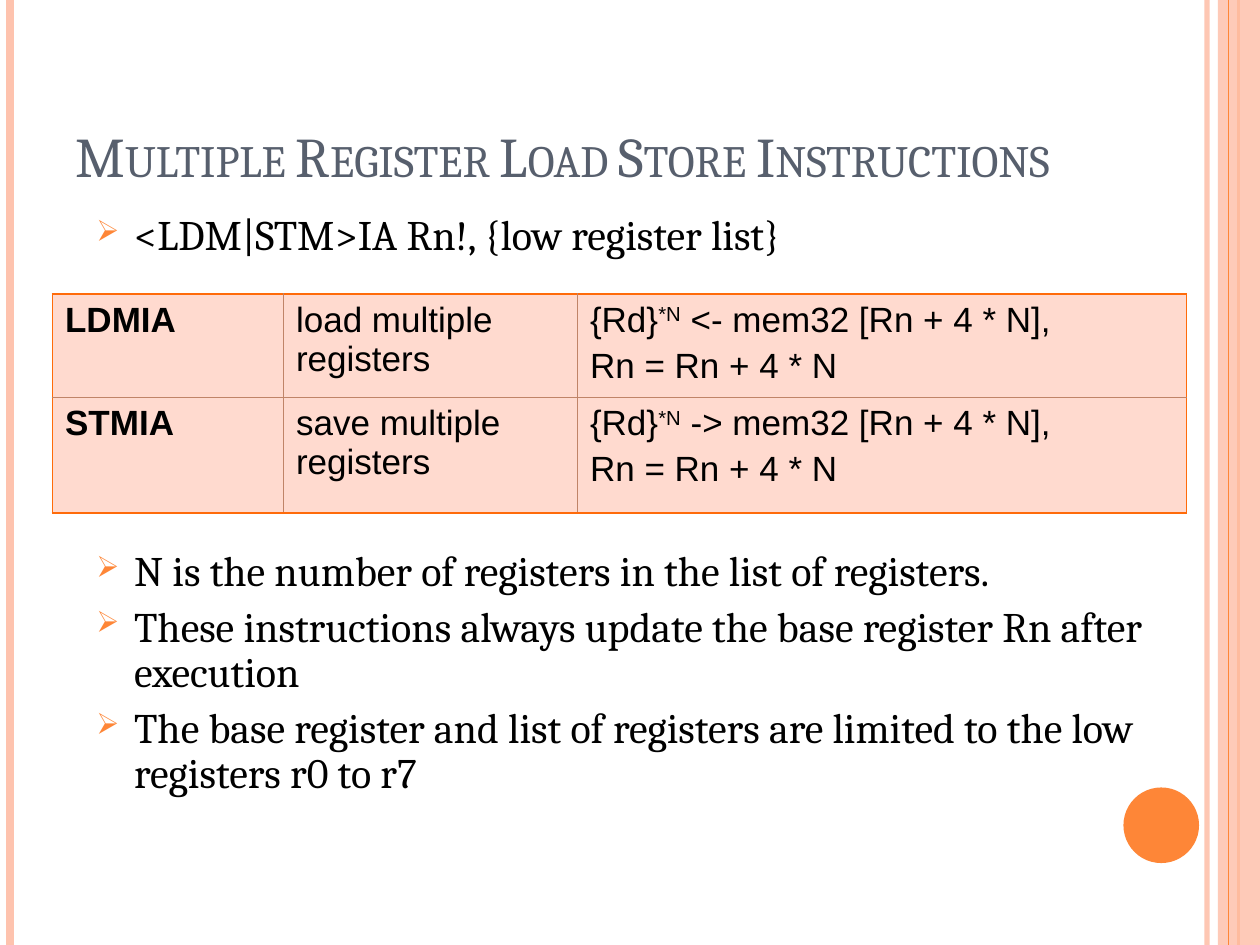
from typing import NamedTuple

from lxml import etree
from pptx import Presentation
from pptx.dml.color import RGBColor
from pptx.enum.shapes import MSO_CONNECTOR, MSO_SHAPE
from pptx.enum.text import MSO_ANCHOR
from pptx.oxml.ns import qn
from pptx.util import Pt

STRAIGHT = MSO_CONNECTOR.STRAIGHT
RECT, OVAL = MSO_SHAPE.RECTANGLE, MSO_SHAPE.OVAL
BOTTOM = MSO_ANCHOR.BOTTOM

WIDTH, HEIGHT = 720, 540
INDENT = 21.6
SERIF, SANS = "Cambria", "Arial"
COLORS = {
    "peach": "FEC3AE",
    "orange": "FE8637",
    "slate": "575F6D",
    "black": "000000",
    "cell": "FFDACF",
    "frame": "FF6B0A",
    "grid": "C08468",
}


class Stripe(NamedTuple):
    x: float
    color: str
    weight: float
    alpha: int = 100


class Point(NamedTuple):
    text: str
    before: float


class Row(NamedTuple):
    name: str
    task: str
    arrow: str
    height: float


STRIPES_BACK = [
    Stripe(689.8, "peach", 3, 93),
    Stripe(5.8, "peach", 4.5),
    Stripe(707.8, "orange", 1.5),
]
STRIPE_FRONT = Stripe(702, "orange", 0.75)
POINTS = [
    Point("<LDM|STM>IA Rn!, {low register list}", 0),
    Point("N is the number of registers in the list of registers.", 166),
    Point("These instructions always update the base register Rn after execution", 6),
    Point("The base register and list of registers are limited to the low "
          "registers r0 to r7", 6),
]
ROWS = [
    Row("LDMIA", "load multiple registers", "<-", 55.5),
    Row("STMIA", "save multiple registers", "->", 66),
]
COLS = [132, 168, 348]


def rgb(name: str) -> RGBColor:
    return RGBColor.from_string(COLORS[name])


def add_node(parent, tag: str, **attrs):
    return etree.SubElement(parent, qn(tag), attrs)


def fade(shape, alpha: int) -> None:
    """Set the opacity, in percent, of the first colour in a shape."""
    color = next(shape._element.spPr.iter(qn("a:srgbClr")))
    add_node(color, "a:alpha", val=str(alpha * 1000))


def add_stripe(slide, stripe: Stripe) -> None:
    line = slide.shapes.add_connector(
        STRAIGHT, Pt(stripe.x), Pt(0), Pt(stripe.x), Pt(HEIGHT))
    line.line.color.rgb = rgb(stripe.color)
    line.line.width = Pt(stripe.weight)
    if stripe.alpha < 100:
        fade(line, stripe.alpha)
    add_node(line._element.spPr, "a:effectLst")


def add_solid(slide, kind, box: tuple, color: str):
    shape = slide.shapes.add_shape(kind, *map(Pt, box))
    shape.shadow.inherit = False
    shape.fill.solid()
    shape.fill.fore_color.rgb = rgb(color)
    shape.line.fill.background()
    return shape


def add_frame(slide, box: tuple):
    frame = slide.shapes.add_textbox(*map(Pt, box)).text_frame
    frame.word_wrap = True
    return frame


def add_run(para, text: str, font: str, size: float, color: str, bold=False):
    run = para.add_run()
    run.text = text
    run.font.name = font
    run.font.size = Pt(size)
    run.font.bold = bold
    run.font.color.rgb = rgb(color)
    return run


def add_title(slide, text: str) -> None:
    frame = add_frame(slide, (36, 21.6, 648, 90))
    frame.vertical_anchor = BOTTOM
    run = add_run(frame.paragraphs[0], text, SERIF, 32, "slate")
    run.font._element.set("cap", "small")


def add_points(slide, points: list[Point]) -> None:
    frame = add_frame(slide, (48, 118.8, 642, 372))
    for i, point in enumerate(points):
        para = frame.add_paragraph() if i else frame.paragraphs[0]
        props = para._p.get_or_add_pPr()
        props.set("marL", str(Pt(INDENT)))
        props.set("indent", str(-Pt(INDENT)))
        tint = add_node(props, "a:buClr")
        add_node(tint, "a:srgbClr", val=COLORS["orange"])
        add_node(props, "a:buSzPct", val="70000")
        add_node(props, "a:buChar", char="➢")
        para.line_spacing = 0.9
        para.space_before = Pt(point.before)
        add_run(para, point.text, SERIF, 24, "black")


def set_edge(cell, side: str, outer: bool) -> None:
    color, weight = ("frame", 1) if outer else ("grid", 0.5)
    edge = add_node(cell._tc.get_or_add_tcPr(), f"a:ln{side}", w=str(Pt(weight)))
    fill = add_node(edge, "a:solidFill")
    add_node(fill, "a:srgbClr", val=COLORS[color])


def fill_cell(cell, lines: list, bold: bool) -> None:
    """Write lines, each a list of (text, raised) pairs."""
    frame = cell.text_frame
    for i, parts in enumerate(lines):
        para = frame.add_paragraph() if i else frame.paragraphs[0]
        para.space_before = Pt(4 if i else 0)
        for text, raised in parts:
            run = add_run(para, text, SANS, 20, "black", bold)
            if raised:
                run.font._element.set("baseline", "30000")


def add_grid(slide, rows: list[Row]) -> None:
    tall = sum(row.height for row in rows)
    box = (30, 168, sum(COLS), tall)
    table = slide.shapes.add_table(len(rows), len(COLS), *map(Pt, box)).table
    table.first_row = table.horz_banding = False
    for col, width in zip(table.columns, COLS):
        col.width = Pt(width)
    for r, row in enumerate(rows):
        table.rows[r].height = Pt(row.height)
        effect = [("{Rd}", False), ("*N", True),
                  (f" {row.arrow} mem32 [Rn + 4 * N],", False)]
        texts = [[[(row.name, False)]], [[(row.task, False)]],
                 [effect, [("Rn = Rn + 4 * N", False)]]]
        for c, lines in enumerate(texts):
            cell = table.cell(r, c)
            set_edge(cell, "L", c == 0)
            set_edge(cell, "R", c == len(COLS) - 1)
            set_edge(cell, "T", r == 0)
            set_edge(cell, "B", r == len(rows) - 1)
            cell.fill.solid()
            cell.fill.fore_color.rgb = rgb("cell")
            fill_cell(cell, lines, c == 0)


def main() -> None:
    deck = Presentation()
    deck.slide_width, deck.slide_height = Pt(WIDTH), Pt(HEIGHT)
    slide = deck.slides.add_slide(deck.slide_layouts[6])
    for stripe in STRIPES_BACK:
        add_stripe(slide, stripe)
    band = add_solid(slide, RECT, (696, 0, 24, HEIGHT), "peach")
    fade(band, 87)
    add_stripe(slide, STRIPE_FRONT)
    add_solid(slide, OVAL, (642, 450, 43.2, 43.2), "orange")
    add_title(slide, "Multiple Register Load Store Instructions")
    add_points(slide, POINTS)
    add_grid(slide, ROWS)
    deck.save("out.pptx")


if __name__ == "__main__":
    main()
